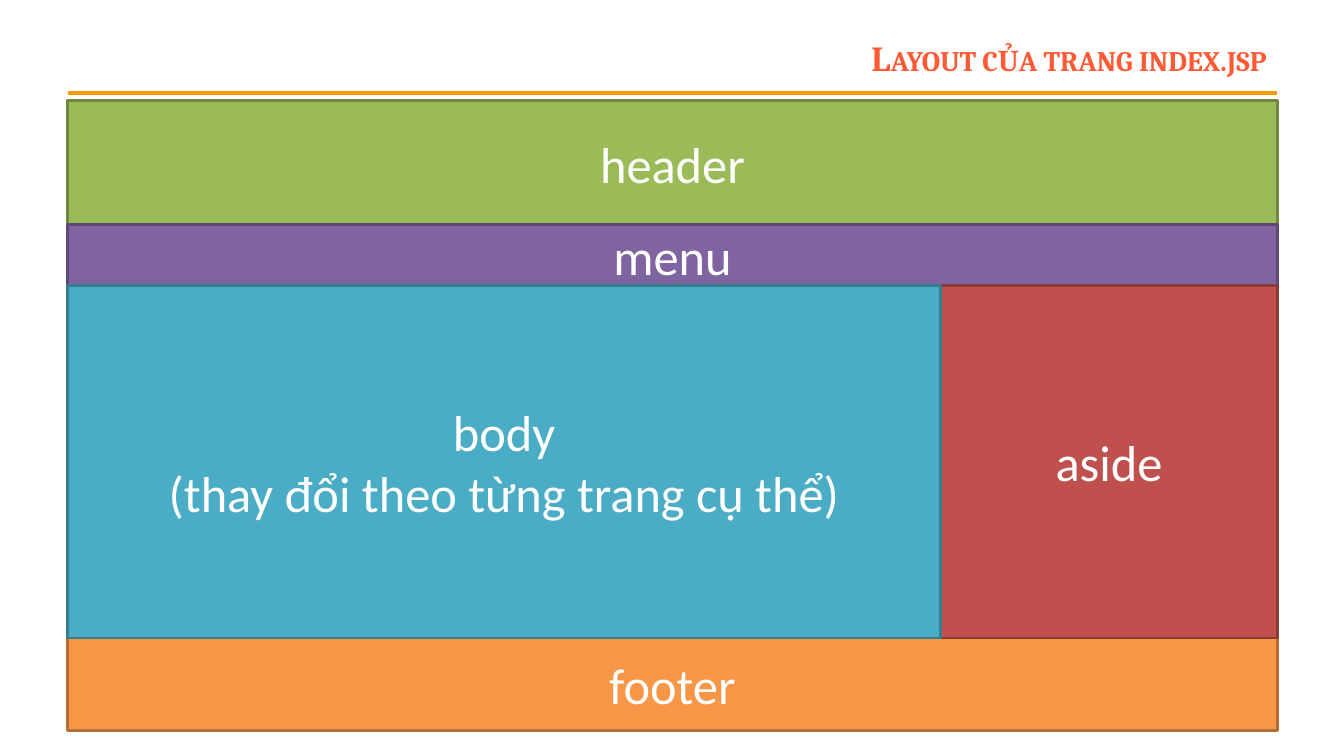
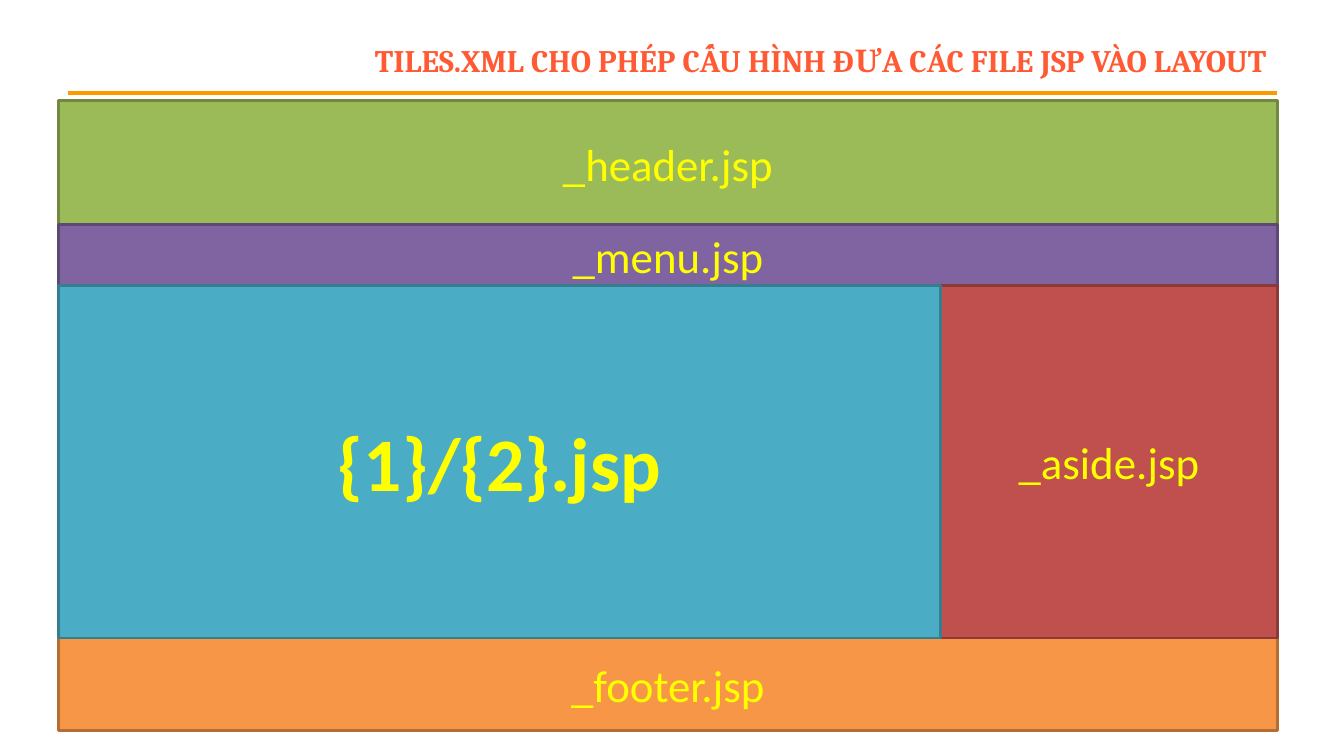
from lxml import etree
from pptx import Presentation
from pptx import util as u
from pptx.dml.color import RGBColor
from pptx.enum import shapes, text
from pptx.oxml.ns import qn

COLORS = {
    "title": "FF5A33", "rule": "FF9900", "white": "FFFFFF", "yellow": "FFFF00",
    "header": "9BBB59", "header_edge": "718840",
    "menu": "8064A2", "menu_edge": "5D4876",
    "footer": "F79646", "footer_edge": "B46D33",
    "aside": "C0504D", "aside_edge": "8C3A38",
    "body": "4BACC6", "body_edge": "367D90",
}
RIGHT = 12.67
ASIDE_LEFT = 9.33
# Region: top, height
ROWS = {"header": (1, 1.25), "menu": (2.23, 0.61), "footer": (6.33, 0.92),
        "aside": (2.83, 3.5), "body": (2.83, 3.5)}


def color(name):
    return RGBColor.from_string(COLORS[name])


def add_span(para, words, font, size, color_name, bold=False):
    span = para.add_run()
    span.text = words
    span.font.name = font
    span.font.size = u.Pt(size)
    span.font.bold = bold
    span.font.color.rgb = color(color_name)
    return span


def style_layout(layout):
    title = layout.shapes.title if hasattr(layout.shapes, "title") else layout.placeholders[0]
    title.left, title.top = u.Inches(2.44), u.Inches(0.3)
    title.width, title.height = u.Inches(10.22), u.Inches(0.53)
    title.text_frame.vertical_anchor = text.MSO_ANCHOR.MIDDLE


def add_layout_rule(page):
    """Draw the rule under the title and hand it to the layout all pages share."""
    rule = page.shapes.add_connector(
        shapes.MSO_CONNECTOR.STRAIGHT,
        u.Inches(0.67), u.Inches(0.92), u.Inches(RIGHT), u.Inches(0.92))
    rule.line.color.rgb = color("rule")
    rule.line.width = u.Pt(3)
    etree.SubElement(rule.element.spPr, qn("a:effectLst"))
    page.slide_layout.shapes.element.append(rule.element)


def set_title(page, words, size):
    frame = page.shapes.title.text_frame
    frame.auto_size = text.MSO_AUTO_SIZE.NONE
    para = frame.paragraphs[0]
    para.alignment = text.PP_ALIGN.RIGHT
    span = add_span(para, words, "Cambria", size, "title", bold=True)
    span.font._element.set("cap", "small")


def add_region(page, name, left, right, lines, size, text_color, bold):
    top, height = ROWS[name]
    box = page.shapes.add_shape(
        shapes.MSO_SHAPE.RECTANGLE, u.Inches(left), u.Inches(top),
        u.Inches(right - left), u.Inches(height))
    box.shadow.inherit = False
    box.fill.solid()
    box.fill.fore_color.rgb = color(name)
    box.line.color.rgb = color(name + "_edge")
    box.line.width = u.Pt(2)
    frame = box.text_frame
    frame.word_wrap = True
    frame.vertical_anchor = text.MSO_ANCHOR.MIDDLE
    for index, words in enumerate(lines):
        para = frame.add_paragraph() if index else frame.paragraphs[0]
        para.alignment = text.PP_ALIGN.CENTER
        add_span(para, words, "Calibri", size, text_color, bold)


def add_page_layout(page, left, labels, size, text_color, body_size, body_bold):
    """Draw the five regions of the web page; labels maps region to lines."""
    for name in ROWS:
        start = ASIDE_LEFT if name == "aside" else left
        end = ASIDE_LEFT if name == "body" else RIGHT
        is_body = name == "body"
        add_region(page, name, start, end, labels[name],
                   body_size if is_body else size, text_color,
                   is_body and body_bold)


def main():
    deck = Presentation()
    deck.slide_width, deck.slide_height = u.Inches(13.33), u.Inches(7.5)
    layout = deck.slide_layouts[5]
    style_layout(layout)

    page = deck.slides.add_slide(layout)
    add_layout_rule(page)
    set_title(page, "Layout của trang index.jsp", 25.2)
    labels = {name: [name] for name in ROWS}
    labels["body"].append("(thay đổi theo từng trang cụ thể)")
    add_page_layout(page, 0.67, labels, 36, "white", 36, False)

    page = deck.slides.add_slide(layout)
    set_title(page, "tiles.xml cho phép cấu hình đưa các file jsp vào layout", 28)
    labels = {name: [f"_{name}.jsp"] for name in ROWS}
    labels["body"] = ["{1}/{2}.jsp"]
    add_page_layout(page, 0.58, labels, 32, "yellow", 54, True)

    deck.save("out.pptx")


if __name__ == "__main__":
    main()
